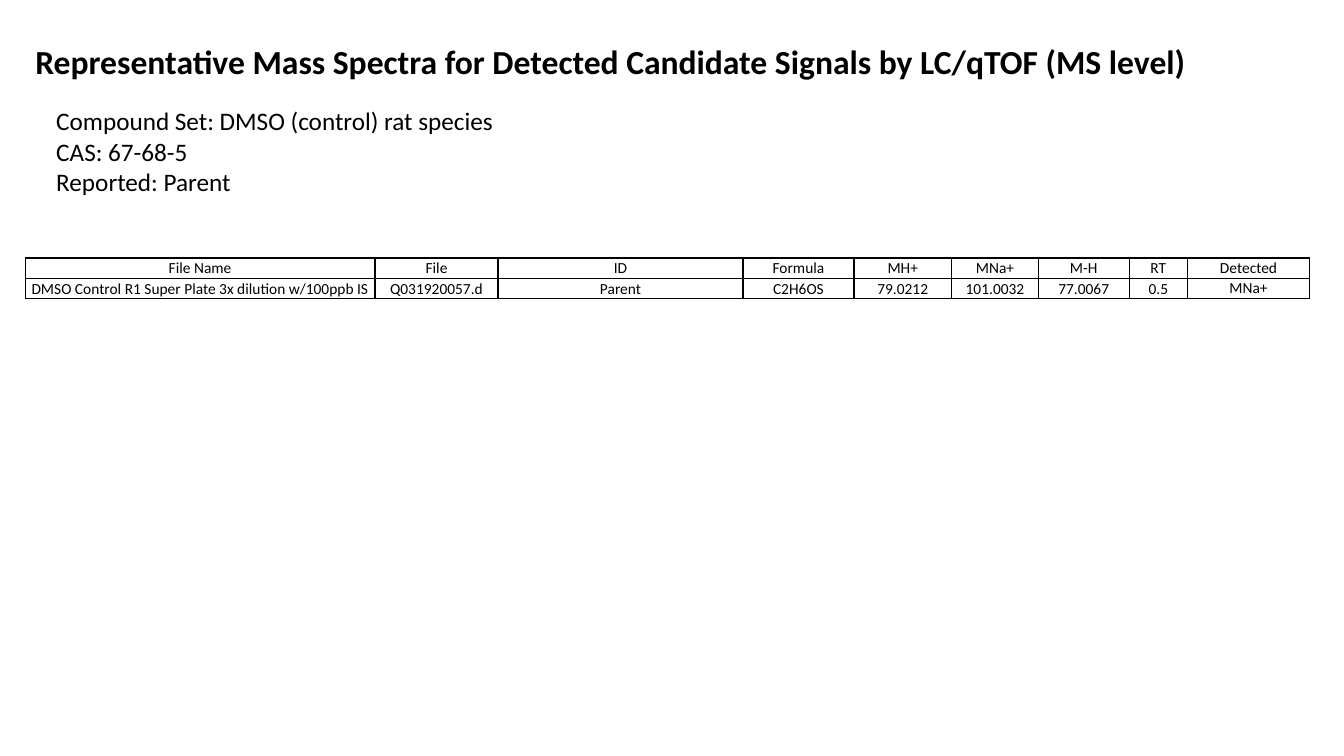
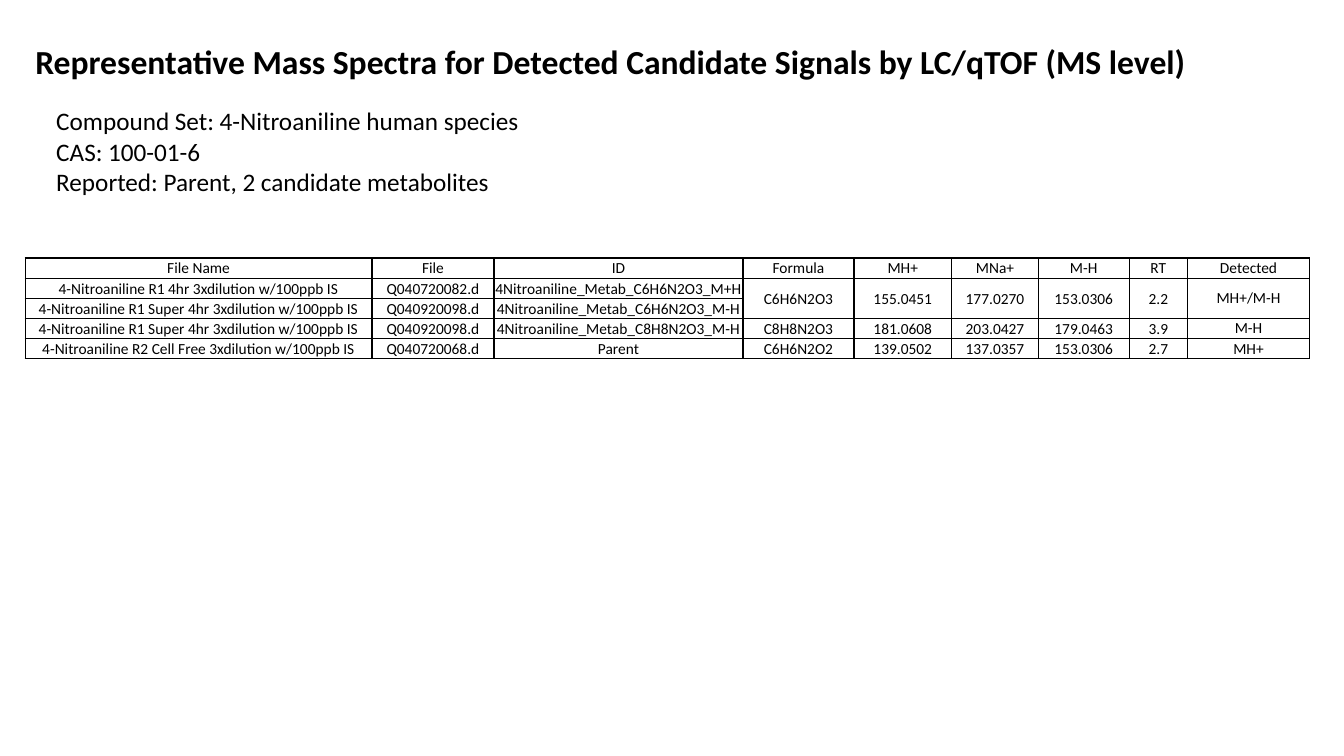
from lxml import etree
from pptx import Presentation
from pptx.dml.color import RGBColor
from pptx.enum.text import MSO_ANCHOR, MSO_AUTO_SIZE, PP_ALIGN
from pptx.oxml.ns import qn
from pptx.util import Inches, Pt

LEFT, CENTER = PP_ALIGN.LEFT, PP_ALIGN.CENTER
TOP, MIDDLE, BOTTOM = MSO_ANCHOR.TOP, MSO_ANCHOR.MIDDLE, MSO_ANCHOR.BOTTOM
NO_AUTOFIT = MSO_AUTO_SIZE.NONE

COLORS = {"text": "000000", "border": "000000"}
FONT = "Calibri"
TITLE = "Representative Mass Spectra for Detected Candidate Signals by LC/qTOF (MS level)"
HEADERS = ["File Name", "File", "ID", "Formula", "MH+", "MNa+", "M-H", "RT", "Detected"]

# None continues the cell above it.
COMPOUNDS = [
    {
        "summary": ["Compound Set: DMSO (control) rat species", "CAS: 67-68-5", "Reported: Parent"],
        "file_columns": [3.47, 1.22, 2.43],
        "signals": [
            ["DMSO Control R1 Super Plate 3x dilution w/100ppb IS", "Q031920057.d", "Parent",
             "C2H6OS", "79.0212", "101.0032", "77.0067", "0.5", "MNa+"],
        ],
    },
    {
        "summary": ["Compound Set: 4-Nitroaniline human species", "CAS: 100-01-6",
                    "Reported: Parent, 2 candidate metabolites"],
        "file_columns": [3.44, 1.21, 2.47],
        "signals": [
            ["4-Nitroaniline R1 4hr 3xdilution w/100ppb IS", "Q040720082.d",
             "4Nitroaniline_Metab_C6H6N2O3_M+H",
             "C6H6N2O3", "155.0451", "177.0270", "153.0306", "2.2", "MH+/M-H"],
            ["4-Nitroaniline R1 Super 4hr 3xdilution w/100ppb IS", "Q040920098.d",
             "4Nitroaniline_Metab_C6H6N2O3_M-H"] + [None] * 6,
            ["4-Nitroaniline R1 Super 4hr 3xdilution w/100ppb IS", "Q040920098.d",
             "4Nitroaniline_Metab_C8H8N2O3_M-H",
             "C8H8N2O3", "181.0608", "203.0427", "179.0463", "3.9", "M-H"],
            ["4-Nitroaniline R2 Cell Free 3xdilution w/100ppb IS", "Q040720068.d", "Parent",
             "C6H6N2O2", "139.0502", "137.0357", "153.0306", "2.7", "MH+"],
        ],
    },
]

SLIDE_WIDTH, SLIDE_HEIGHT = 13.33, 7.5
MARGIN = 0.25
CONTENT_WIDTH = 12.75
RESULT_COLUMNS = [1.1, 0.97, 0.86, 0.9, 0.58, 1.21]
ROW_HEIGHT = 0.2
TABLE_TOP = 2.56


def format_paragraphs(text_frame, size, alignment, bold=False):
    for paragraph in text_frame.paragraphs:
        paragraph.alignment = alignment
        paragraph.font.name = FONT
        paragraph.font.size = Pt(size)
        paragraph.font.bold = bold
        paragraph.font.color.rgb = RGBColor.from_string(COLORS["text"])


def fill_text_frame(text_frame, lines, size, bold=False):
    text_frame.text = "\n".join(lines)
    text_frame.word_wrap = True
    text_frame.auto_size = NO_AUTOFIT
    text_frame.vertical_anchor = TOP
    format_paragraphs(text_frame, size, LEFT, bold)


def add_borders(cell, width=1):
    properties = cell._tc.get_or_add_tcPr()
    for index, edge in enumerate(("lnL", "lnR", "lnT", "lnB")):
        line = etree.Element(qn(f"a:{edge}"), w=str(Pt(width)))
        fill = etree.SubElement(line, qn("a:solidFill"))
        etree.SubElement(fill, qn("a:srgbClr"), val=COLORS["border"])
        properties.insert(index, line)


def format_cell(cell, text, anchor, inset):
    cell.text = text
    cell.vertical_anchor = anchor
    cell.margin_left = cell.margin_right = cell.margin_top = Inches(inset)
    cell.margin_bottom = 0
    cell.fill.background()
    add_borders(cell)
    format_paragraphs(cell.text_frame, 11, CENTER)


def add_signal_table(slide, signals, column_widths):
    rows = [HEADERS] + signals
    table = slide.shapes.add_table(
        len(rows), len(HEADERS), Inches(MARGIN), Inches(TABLE_TOP),
        Inches(sum(column_widths)), Inches(ROW_HEIGHT * len(rows))).table
    table.first_row = table.horz_banding = False
    for column, width in zip(table.columns, column_widths):
        column.width = Inches(width)
    for row in table.rows:
        row.height = Inches(ROW_HEIGHT)

    last_column = len(HEADERS) - 1
    for row_index, row in enumerate(rows):
        for column_index, text in enumerate(row):
            cell = table.cell(row_index, column_index)
            plain = row_index == 0 or column_index == last_column
            format_cell(cell, text or "", MIDDLE if plain else BOTTOM, 0 if plain else 0.01)
            if text is None:
                cell_above = table.cell(row_index - 1, column_index)
                cell_above.merge(cell)
                cell_above.vertical_anchor = MIDDLE


def add_compound_slide(presentation, compound):
    slide = presentation.slides.add_slide(presentation.slide_layouts[5])
    add_signal_table(slide, compound["signals"], compound["file_columns"] + RESULT_COLUMNS)

    summary = slide.shapes.add_textbox(Inches(0.46), Inches(1), Inches(7.44), Inches(1.31))
    fill_text_frame(summary.text_frame, compound["summary"], 18)

    title = slide.shapes.title
    title.left, title.top = Inches(MARGIN), Inches(0.36)
    title.width, title.height = Inches(CONTENT_WIDTH), Inches(0.5)
    fill_text_frame(title.text_frame, [TITLE], 24, bold=True)


def main():
    presentation = Presentation()
    presentation.slide_width = Inches(SLIDE_WIDTH)
    presentation.slide_height = Inches(SLIDE_HEIGHT)
    for compound in COMPOUNDS:
        add_compound_slide(presentation, compound)
    presentation.save("out.pptx")


if __name__ == "__main__":
    main()
